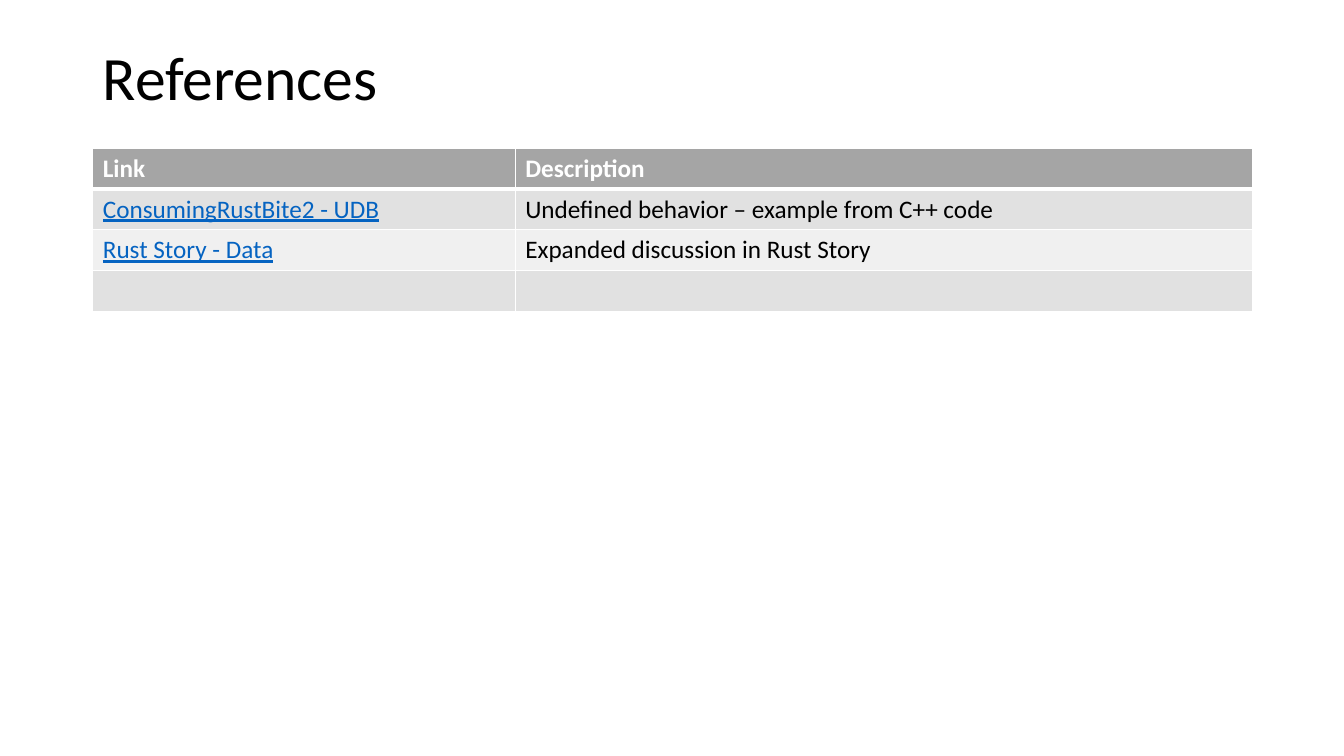
"""Build the References slide with its table of links."""
from dataclasses import dataclass

from lxml import etree
from pptx import Presentation
from pptx.dml.color import RGBColor
from pptx.enum.text import MSO_ANCHOR
from pptx.oxml.ns import qn
from pptx.util import Inches, Pt

MIDDLE = MSO_ANCHOR.MIDDLE

TITLE = "References"
HEADER = ("Link", "Description")
REFERENCES = [
    ("ConsumingRustBite2 - UDB", "Undefined behavior – example from C++ code"),
    ("Rust Story - Data", "Expanded discussion in Rust Story"),
    ("", ""),
]
LEFT, WIDTH = 0.92, 11.5
TITLE_TOP, TITLE_HEIGHT = 0.4, 0.79
TABLE_TOP, ROW_HEIGHT = 1.47, 0.405
COLUMN_WIDTHS = (4.19, 7.31)


@dataclass(frozen=True)
class Theme:
    font: str = "Calibri"
    title_size: int = 44
    cell_size: int = 18
    text: str = "000000"
    header_text: str = "FFFFFF"
    link: str = "0563C1"
    header_fill: str = "A5A5A5"
    bands: tuple = ("E1E1E1", "F0F0F0")
    border: str = "FFFFFF"
    thin: int = 1
    thick: int = 3


THEME = Theme()


def add_run(paragraph, text, size, color, bold=False, underline=False):
    run = paragraph.add_run()
    run.text = text
    font = run.font
    font.name, font.size = THEME.font, Pt(size)
    font.bold, font.underline = bold, underline
    font.color.rgb = RGBColor.from_string(color)


def set_borders(cell, top, bottom):
    properties = cell._tc.get_or_add_tcPr()
    sides = {"lnL": THEME.thin, "lnR": THEME.thin, "lnT": top, "lnB": bottom}
    for index, (side, width) in enumerate(sides.items()):
        line = etree.Element(qn(f"a:{side}"), w=str(Pt(width)))
        fill = etree.SubElement(line, qn("a:solidFill"))
        etree.SubElement(fill, qn("a:srgbClr"), val=THEME.border)
        properties.insert(index, line)


def add_title(slide):
    box = slide.shapes.add_textbox(
        Inches(LEFT), Inches(TITLE_TOP), Inches(WIDTH), Inches(TITLE_HEIGHT))
    frame = box.text_frame
    frame.word_wrap = True
    frame.vertical_anchor = MIDDLE
    paragraph = frame.paragraphs[0]
    paragraph.line_spacing = 0.9
    add_run(paragraph, TITLE, THEME.title_size, THEME.text)


def fill_cell(cell, text, row, column):
    is_header = row == 0
    is_link = column == 0 and not is_header
    cell.fill.solid()
    band = THEME.header_fill if is_header else THEME.bands[(row - 1) % 2]
    cell.fill.fore_color.rgb = RGBColor.from_string(band)
    set_borders(cell, THEME.thick if row == 1 else THEME.thin,
                THEME.thick if is_header else THEME.thin)
    if text:
        color = THEME.header_text if is_header else THEME.link if is_link else THEME.text
        add_run(cell.text_frame.paragraphs[0], text, THEME.cell_size, color,
                bold=is_header, underline=is_link)


def add_reference_table(slide):
    rows = [HEADER, *REFERENCES]
    table = slide.shapes.add_table(
        len(rows), len(HEADER), Inches(LEFT), Inches(TABLE_TOP),
        Inches(WIDTH), Inches(ROW_HEIGHT * len(rows))).table
    for column, width in zip(table.columns, COLUMN_WIDTHS):
        column.width = Inches(width)
    for row, texts in enumerate(rows):
        for column, text in enumerate(texts):
            fill_cell(table.cell(row, column), text, row, column)


presentation = Presentation()
presentation.slide_width, presentation.slide_height = Inches(13.33), Inches(7.5)
slide = presentation.slides.add_slide(presentation.slide_layouts[6])
add_title(slide)
add_reference_table(slide)
presentation.save("out.pptx")
